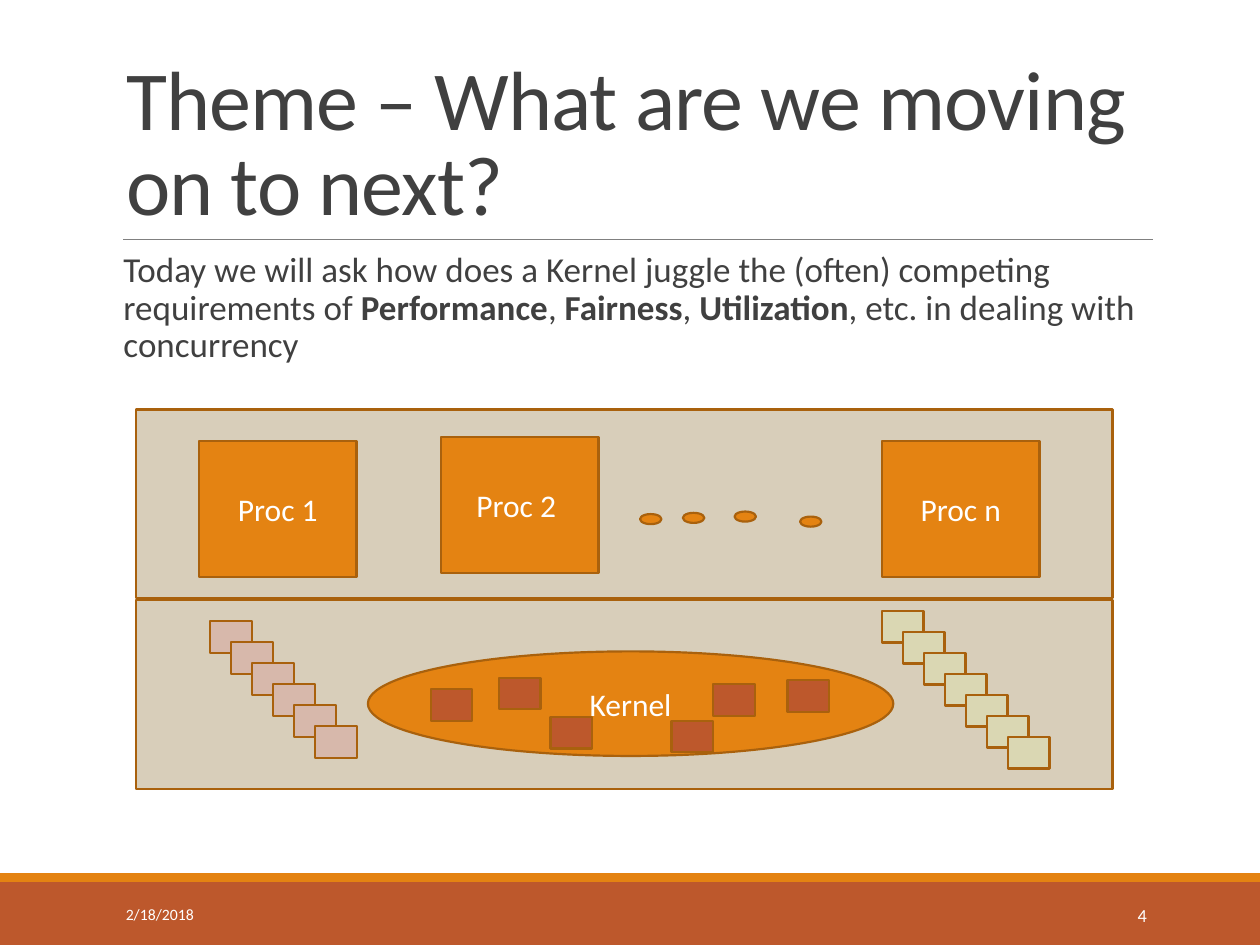
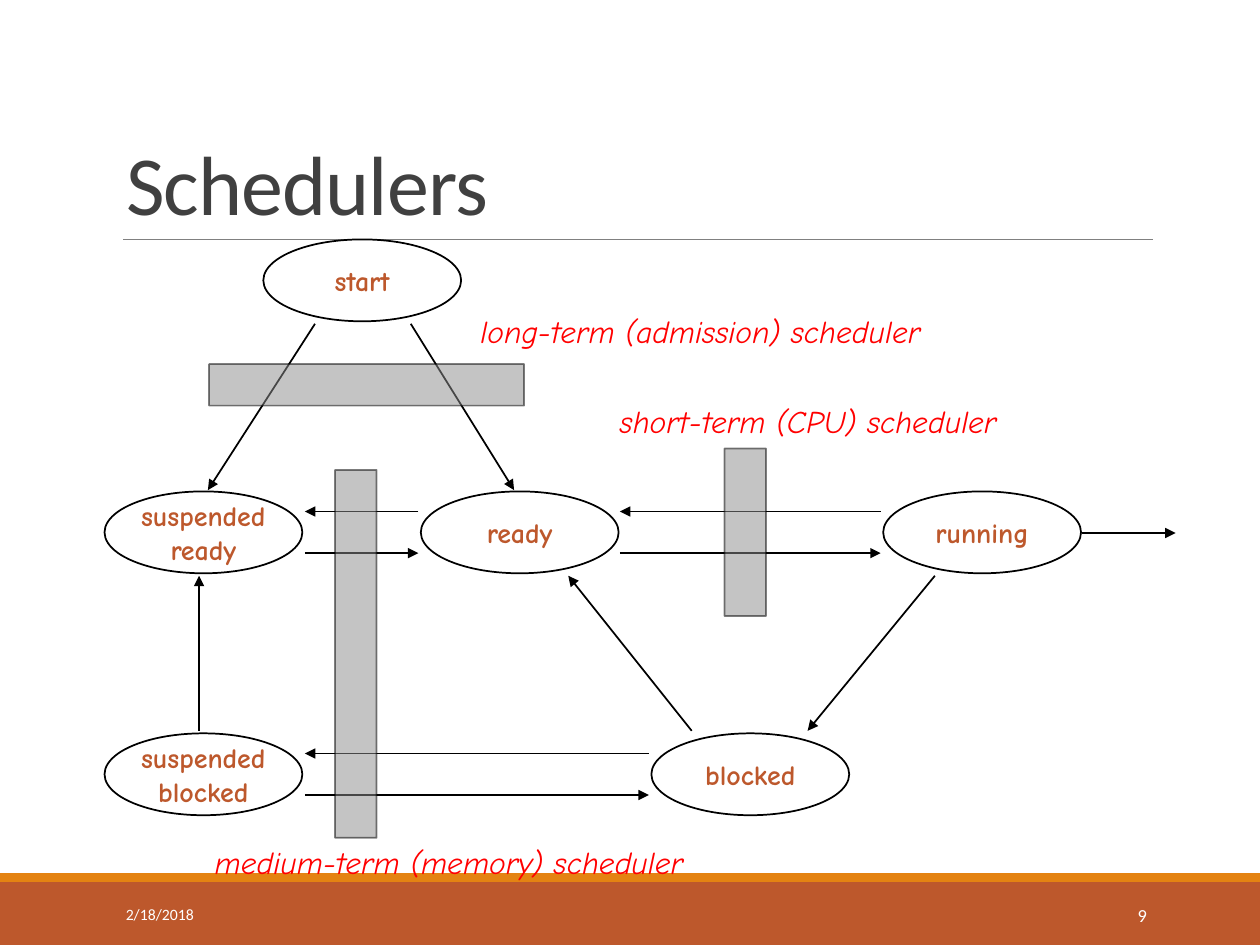
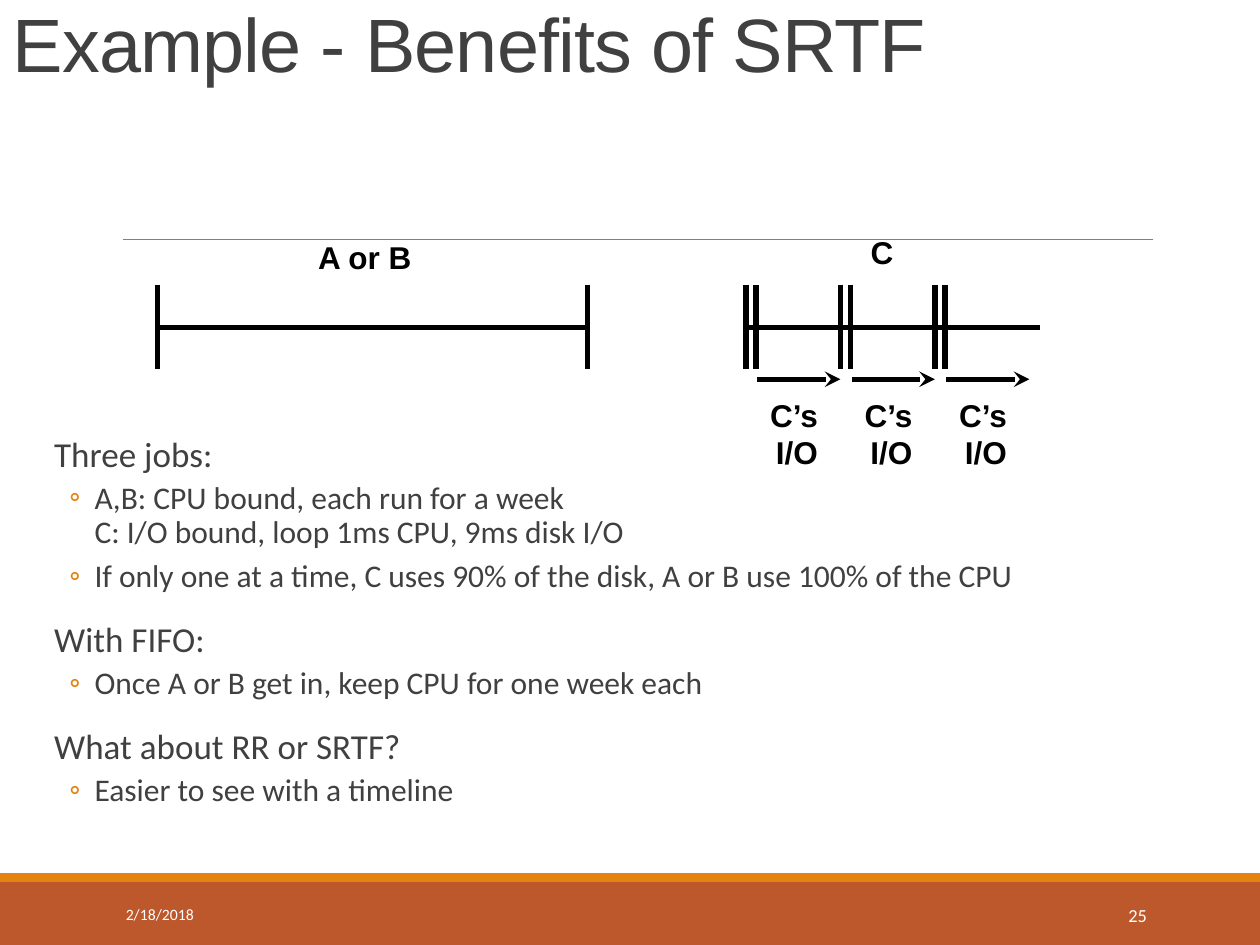
from lxml.etree import SubElement
from pptx import Presentation
from pptx.dml.color import RGBColor
from pptx.enum.shapes import MSO_CONNECTOR, MSO_SHAPE
from pptx.enum.text import MSO_ANCHOR, MSO_AUTO_SIZE, PP_ALIGN
from pptx.oxml.ns import qn
from pptx.util import Inches, Pt

# Shared look
RUST = RGBColor(0xBD, 0x58, 0x2C)
ORANGE = RGBColor(0xE4, 0x83, 0x12)
BROWN = RGBColor(0xA9, 0x61, 0x0D)
SAND = RGBColor(0xD8, 0xCE, 0xBA)
PINK = RGBColor(0xD7, 0xB8, 0xAB)
OLIVE = RGBColor(0xDA, 0xD7, 0xB3)
DARK = RGBColor(0x40, 0x40, 0x40)
GREY = RGBColor(0x80, 0x80, 0x80)
SMOKE = RGBColor(0x8C, 0x8C, 0x8C)
RED = RGBColor(0xFF, 0x00, 0x00)
BLACK = RGBColor(0x00, 0x00, 0x00)
WHITE = RGBColor(0xFF, 0xFF, 0xFF)
SANS, HAND, PLAIN = "Calibri", "Comic Neue", "Arial"
RECT, OVAL = MSO_SHAPE.RECTANGLE, MSO_SHAPE.OVAL
LEFT, MID, RIGHT = PP_ALIGN.LEFT, PP_ALIGN.CENTER, PP_ALIGN.RIGHT
DATE = "2/18/2018"
TITLE_BOX = (0.9, 0.31, 8.25, 1.59)

# Slide 1: processes above the kernel; ** marks bold
THEME = [(0, "Today we will ask how does a Kernel juggle the (often) competing "
             "requirements of **Performance**, **Fairness**, **Utilization**, "
             "etc. in dealing with concurrency")]
PROCS = [("Proc 1", 1.58, 3.5), ("Proc 2 ", 3.5, 3.47), ("Proc n", 7, 3.5)]
DOTS = [(5.08, 4.08), (5.42, 4.07), (5.83, 4.06), (6.35, 4.1)]
BITS = [(3.42, 5.47), (3.96, 5.38), (6.25, 5.4), (5.66, 5.43), (5.33, 5.72), (4.37, 5.69)]
BITS[3:5] = [(5.66, 5.43), (5.33, 5.72)]
BITS = [(3.42, 5.47), (3.96, 5.38), (5.66, 5.43), (6.25, 5.4), (5.33, 5.72), (4.37, 5.69)]
STACKS = [(PINK, 6, 1.67, 4.93), (OLIVE, 7, 7, 4.85)]

# Slide 2: process states, moves between them and schedulers
STATES = [("start", 2.09, 1.9), ("suspended\nready", 0.83, 3.9), ("ready", 3.34, 3.9),
          ("running", 7.01, 3.9), ("suspended\nblocked", 0.83, 5.82), ("blocked", 5.17, 5.82)]
MOVES = [(2.5, 2.57, 1.65, 3.89), (3.26, 2.57, 4.08, 3.89),
         (8.59, 4.23, 9.33, 4.23), (7.42, 4.57, 6.41, 5.8),
         (5.49, 5.8, 4.51, 4.57), (1.58, 5.8, 1.58, 4.57)]
SWAPS = [(2.42, 3.32, 4.06), (4.92, 6.99, 4.06), (2.42, 5.15, 5.98)]
BARS = [(1.66, 2.89, 2.5, 0.33), (2.66, 3.73, 0.33, 2.92), (5.75, 3.56, 0.33, 1.33)]
NOTES = [("long-term (admission) scheduler", 3.67, 2.43, 3.78),
         ("short-term (CPU) scheduler", 4.75, 3.14, 3.33),
         ("medium-term (memory) scheduler", 1.58, 6.64, 3.97)]

# Slide 3: three jobs
JOBS = [(0, "Three jobs:"),
        (1, "A,B: CPU bound, each run for a week\nC: I/O bound, loop 1ms CPU, 9ms disk I/O"),
        (1, "If only one at a time, C uses 90% of the disk, A or B use 100% of the CPU"),
        (0, "With FIFO:"),
        (1, "Once A or B get in, keep CPU for one week each"),
        (0, "What about RR or SRTF?"),
        (1, "Easier to see with a timeline")]
# Per level: size, left margin, indent, space before, space after, bullet
LEVELS = [(20, 0.1, -0.1, 12, 2, " "), (18, 0.42, -0.2, 2, 4, "◦")]


def inches(*nums):
    return [Inches(n) for n in nums]


def style(para, size, color, face=SANS, align=LEFT, bold=False, slant=False):
    font = para.font
    font.name, font.size, font.bold, font.italic = face, Pt(size), bold, slant
    font.color.rgb = color
    para.alignment = align


def write(frame, text, *look, wrap=True, **more):
    frame.text = text
    frame.word_wrap = wrap
    frame.vertical_anchor = MSO_ANCHOR.MIDDLE
    for para in frame.paragraphs:
        style(para, *look, **more)


def block(art, kind, box, fill, line=None, width=1.25):
    shape = art.add_shape(kind, *inches(*box))
    shape.shadow.inherit = False
    shape.fill.solid()
    shape.fill.fore_color.rgb = fill
    if line is None:
        shape.line.fill.background()
    else:
        shape.line.color.rgb = line
        shape.line.width = Pt(width)
    return shape


def label(art, box, text, *look, **more):
    frame = art.add_textbox(*inches(*box)).text_frame
    write(frame, text, *look, **more)
    return frame


def tag(art, box, text, *look, **more):
    frame = label(art, box, text, *look, wrap=False, **more)
    frame.vertical_anchor = MSO_ANCHOR.TOP
    frame.auto_size = MSO_AUTO_SIZE.SHAPE_TO_FIT_TEXT


def stroke(art, ends, width, color=BLACK, tip=None):
    link = art.add_connector(MSO_CONNECTOR.STRAIGHT, *inches(*ends))
    link.line.color.rgb = color
    link.line.width = Pt(width)
    props = link._element.spPr
    if tip:
        SubElement(props.find(qn("a:ln")), qn("a:tailEnd"), type=tip)
    SubElement(props, qn("a:effectLst"))


def fade(shape, *shares):
    # Opacity of the fill, then of the line
    tints = shape._element.spPr.iter(qn("a:srgbClr"))
    for tint, share in zip(tints, shares):
        SubElement(tint, qn("a:alpha"), val=str(share * 1000))


def place(holder, box):
    holder.left, holder.top, holder.width, holder.height = inches(*box)
    holder.text_frame.auto_size = MSO_AUTO_SIZE.NONE


def start(deck, layout, title, number, box=TITLE_BOX, size=48, face=SANS):
    slide = deck.slides.add_slide(deck.slide_layouts[layout])
    art = slide.shapes
    # Bands, rule and footers
    block(art, RECT, (0, 7, 10, 0.5), RUST)
    block(art, RECT, (0, 6.93, 10, 0.07), ORANGE)
    stroke(art, (0.98, 1.9, 9.15, 1.9), 0.5, GREY)
    label(art, (0.9, 7.06, 2.03, 0.4), DATE, 9, WHITE)
    label(art, (8.12, 7.06, 1.08, 0.4), str(number), 10.5, WHITE, align=RIGHT)
    # Title
    place(art.title, box)
    frame = art.title.text_frame
    write(frame, title, size, DARK, face)
    frame.vertical_anchor = MSO_ANCHOR.BOTTOM
    para = frame.paragraphs[0]
    para.line_spacing = 0.85
    para.runs[0]._r.get_or_add_rPr().set("spc", "-50")
    return slide


def fill_body(slide, box, items):
    body = slide.placeholders[1]
    place(body, box)
    frame = body.text_frame
    frame.margin_left = frame.margin_right = 0
    frame.vertical_anchor = MSO_ANCHOR.TOP
    for i, (level, text) in enumerate(items):
        para = frame.add_paragraph() if i else frame.paragraphs[0]
        size, margin, indent, before, after, mark = LEVELS[level]
        parts = text.split("**")
        if len(parts) == 1:
            para.text = text
        else:
            for k, part in enumerate(parts):
                run = para.add_run()
                run.text = part
                run.font.bold = k % 2 == 1
        style(para, size, DARK)
        para.level = level
        para.line_spacing = 0.9
        para.space_before, para.space_after = Pt(before), Pt(after)
        props = para._p.get_or_add_pPr()
        props.set("marL", str(Inches(margin)))
        props.set("indent", str(Inches(indent)))
        # Bullet parts go just ahead of the default run style
        last = props.find(qn("a:defRPr"))
        tint = SubElement(props, qn("a:buClr"))
        SubElement(tint, qn("a:srgbClr"), val=str(ORANGE))
        face = SubElement(props, qn("a:buFont"), typeface=SANS)
        sign = SubElement(props, qn("a:buChar"), char=mark)
        for part in (tint, face, sign):
            last.addprevious(part)


def add_theme(deck):
    slide = start(deck, 1, "Theme – What are we moving on to next?", 4)
    fill_body(slide, (0.88, 1.95, 8.32, 1.53), THEME)
    art = slide.shapes.add_group_shape().shapes
    # User space
    block(art, RECT, (1.08, 3.25, 7.75, 1.5), SAND, BROWN)
    for name, x, y in PROCS:
        proc = block(art, RECT, (x, y, 1.25, 1.08), ORANGE, BROWN)
        write(proc.text_frame, name, 18, WHITE, align=MID)
    for x, y in DOTS:
        block(art, OVAL, (x, y, 0.17, 0.08), ORANGE, BROWN)
    # Kernel space
    block(art, RECT, (1.08, 4.76, 7.75, 1.5), SAND, BROWN)
    core = block(art, OVAL, (2.92, 5.17, 4.17, 0.83), ORANGE, BROWN)
    write(core.text_frame, "Kernel", 18, WHITE, align=MID)
    tiles = [(RUST, x, y) for x, y in BITS]
    for fill, count, x, y in STACKS:
        tiles += [(fill, x + i / 6, y + i / 6) for i in range(count)]
    for fill, x, y in tiles:
        block(art, RECT, (x, y, 0.33, 0.25), fill, BROWN)


def add_states(deck):
    art = start(deck, 5, "Schedulers", 9).shapes
    for name, x, y in STATES:
        state = block(art, OVAL, (x, y, 1.57, 0.65), WHITE, BLACK, 1)
        write(state.text_frame, name, 16, RUST, HAND, MID, bold=True, wrap=False)
    # Each swap goes left on top and right below
    moves = list(MOVES)
    for x1, x2, y in SWAPS:
        moves += [(x2, y, x1, y), (x1, y + 0.33, x2, y + 0.33)]
    for ends in moves:
        stroke(art, ends, 1, tip="triangle")
    for box in BARS:
        fade(block(art, RECT, box, SMOKE, BLACK, 1), 51, 50)
    for text, x, y, width in NOTES:
        tag(art, (x, y, width, 0.4), text, 18, RED, HAND, MID, slant=True)


def add_jobs(deck):
    slide = start(deck, 1, "Example - Benefits of SRTF", 25, (0, 0.17, 10, 0.58), 43.2, PLAIN)
    fill_body(slide, (0.33, 3.42, 9.42, 3.83), JOBS)
    # Job C: three short bursts, each followed by disk work
    art = slide.shapes.add_group_shape().shapes
    stroke(art, (5.92, 2.6, 8.25, 2.6), 3)
    tag(art, (6.81, 1.8, 0.38, 0.35), "C", 18, BLACK, PLAIN, RIGHT, bold=True)
    for i in range(3):
        x = 5.92 + 0.75 * i
        for tick in (x, x + 0.08):
            stroke(art, (tick, 2.26, tick, 2.93), 3)
        stroke(art, (x + 0.09, 3.01, x + 0.75, 3.01), 3, tip="stealth")
        tag(art, (x + 0.06, 3.09, 0.61, 0.66), "C’s \nI/O", 18, BLACK, PLAIN, RIGHT, bold=True)
    # Job A or B: one long burst
    art = slide.shapes.add_group_shape().shapes
    stroke(art, (1.25, 2.6, 4.66, 2.6), 3)
    for tick in (1.25, 4.66):
        stroke(art, (tick, 2.26, tick, 2.93), 3)
    tag(art, (2.42, 1.84, 0.95, 0.35), "A or B", 18, BLACK, PLAIN, MID, bold=True)


def main():
    deck = Presentation()
    deck.slide_width, deck.slide_height = inches(10, 7.5)
    add_theme(deck)
    add_states(deck)
    add_jobs(deck)
    deck.save("out.pptx")


if __name__ == "__main__":
    main()
